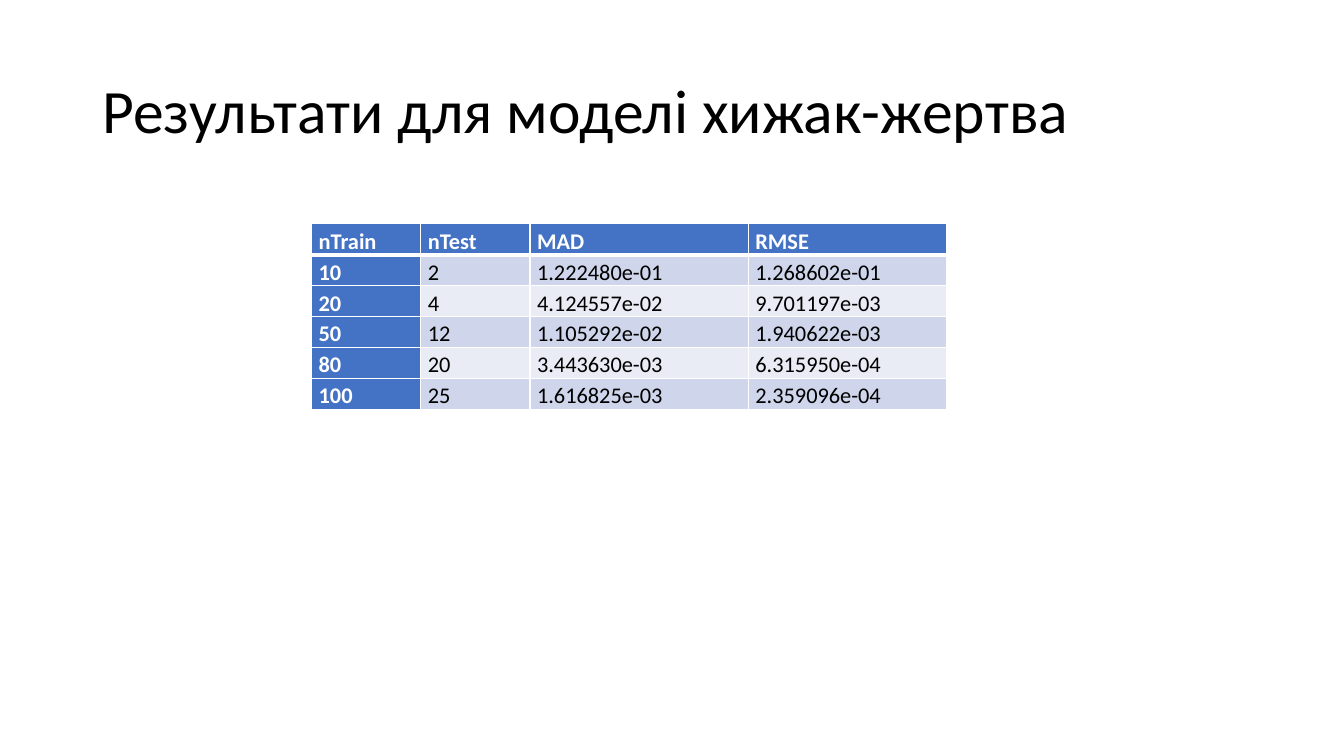
"""Build a slide with a title and a table of model errors."""
import dataclasses

import lxml.etree
import pptx
import pptx.dml.color
import pptx.enum.text
import pptx.oxml.ns
import pptx.util

WIDE = pptx.util.Inches(13.333)
HIGH = pptx.util.Inches(7.5)
COLS, ROWS = 160, 90


@dataclasses.dataclass(frozen=True)
class Theme:
    font: str = "Calibri"
    head: str = "4472C4"
    bands: tuple[str, str] = ("CFD5EA", "E9EBF5")
    dark: str = "000000"
    light: str = "FFFFFF"
    title: int = 44
    body: int = 16
    thin: int = 1
    thick: int = 3


@dataclasses.dataclass(frozen=True)
class Box:
    left: float
    top: float
    width: float
    height: float


@dataclasses.dataclass(frozen=True)
class Style:
    size: int
    color: str
    space: float
    bold: bool = False


THEME = Theme()
TITLE = Box(11, 4.8, 138, 17.4)
TABLE = Box(37.1, 26.64, 75.6, 20.64)
SPANS = (13, 13, 26, 23.6)
DATA = (
    ("nTrain", "nTest", "MAD", "RMSE"),
    ("10", "2", "1.222480e-01", "1.268602e-01"),
    ("20", "4", "4.124557e-02", "9.701197e-03"),
    ("50", "12", "1.105292e-02", "1.940622e-03"),
    ("80", "20", "3.443630e-03", "6.315950e-04"),
    ("100", "25", "1.616825e-03", "2.359096e-04"),
)


def across(cols: float) -> int:
    return round(WIDE * cols / COLS)


def down(rows: float) -> int:
    return round(HIGH * rows / ROWS)


def place(box: Box) -> tuple[int, int, int, int]:
    return across(box.left), down(box.top), across(box.width), down(box.height)


def write(frame, text: str, style: Style) -> None:
    para = frame.paragraphs[0]
    para.text = text
    para.line_spacing = style.space
    para.font.name = THEME.font
    para.font.size = pptx.util.Pt(style.size)
    para.font.bold = style.bold
    para.font.color.rgb = pptx.dml.color.RGBColor.from_string(style.color)


def edge(cell, side: str, width: int) -> None:
    qn = pptx.oxml.ns.qn
    props = cell._tc.get_or_add_tcPr()
    line = lxml.etree.SubElement(props, qn(f"a:ln{side}"), w=str(pptx.util.Pt(width)))
    fill = lxml.etree.SubElement(line, qn("a:solidFill"))
    lxml.etree.SubElement(fill, qn("a:srgbClr"), val=THEME.light)


def paint(cell, text: str, row: int, col: int) -> None:
    head = row == 0 or col == 0
    cell.margin_left = cell.margin_right = pptx.util.Inches(0.07)
    cell.margin_top = cell.margin_bottom = 0
    ink = THEME.light if head else THEME.dark
    write(cell.text_frame, text, Style(THEME.body, ink, 1.15, head))
    heavy = {0: "B", 1: "T"}.get(row)
    for side in "LRTB":
        edge(cell, side, THEME.thick if side == heavy else THEME.thin)
    tint = THEME.head if head else THEME.bands[(row - 1) % 2]
    cell.fill.solid()
    cell.fill.fore_color.rgb = pptx.dml.color.RGBColor.from_string(tint)


def add_title(slide, text: str) -> None:
    frame = slide.shapes.add_textbox(*place(TITLE)).text_frame
    frame.word_wrap = True
    frame.vertical_anchor = pptx.enum.text.MSO_ANCHOR.MIDDLE
    write(frame, text, Style(THEME.title, THEME.dark, 0.9))


def add_grid(slide) -> None:
    shape = slide.shapes.add_table(len(DATA), len(SPANS), *place(TABLE))
    table = shape.table
    table.first_col = True
    for column, span in zip(table.columns, SPANS):
        column.width = across(span)
    for row, texts in enumerate(DATA):
        for col, text in enumerate(texts):
            paint(table.cell(row, col), text, row, col)


def main() -> None:
    deck = pptx.Presentation()
    deck.slide_width, deck.slide_height = WIDE, HIGH
    slide = deck.slides.add_slide(deck.slide_layouts[6])
    add_title(slide, "Результати для моделі хижак-жертва")
    add_grid(slide)
    deck.save("out.pptx")


if __name__ == "__main__":
    main()
